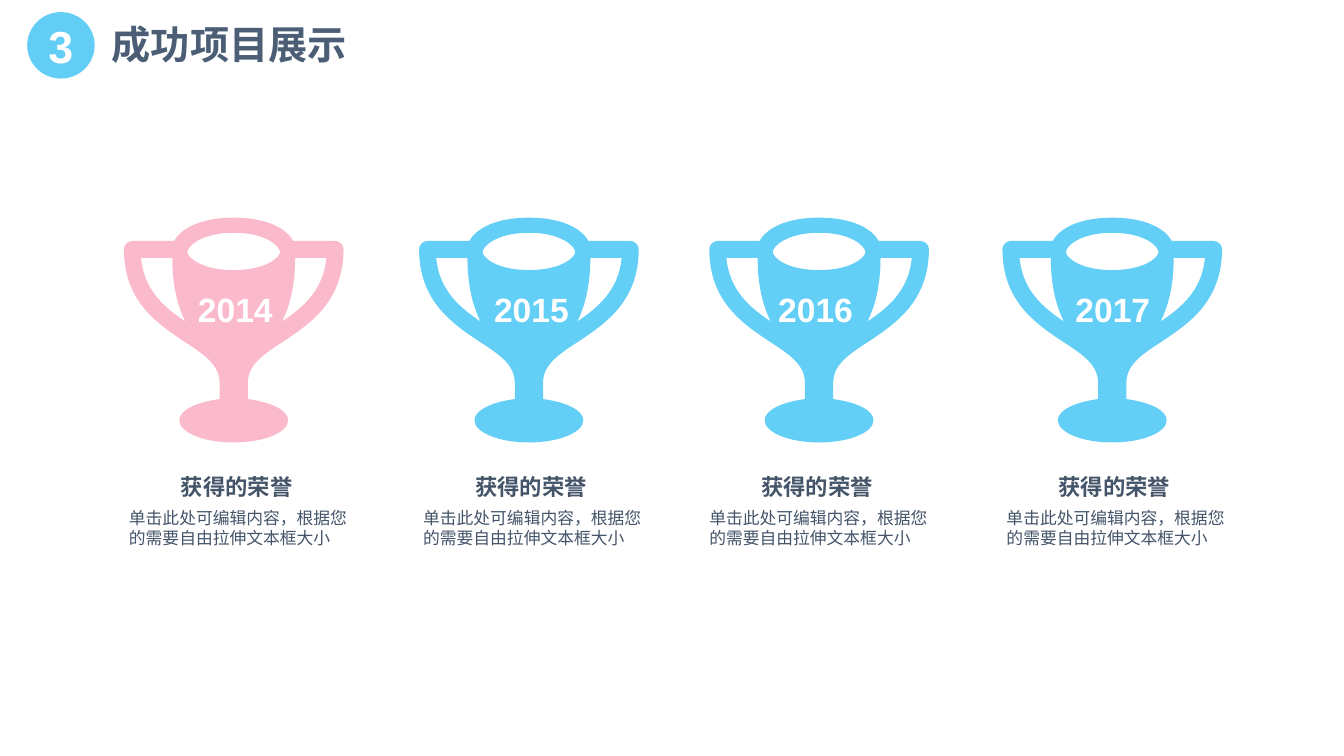
from dataclasses import dataclass
from itertools import chain, islice

from lxml import etree
from pptx import Presentation
from pptx.dml.color import RGBColor
from pptx.enum.shapes import MSO_SHAPE
from pptx.enum.text import MSO_ANCHOR, MSO_AUTO_SIZE, PP_ALIGN
from pptx.oxml.ns import qn
from pptx.util import Inches, Pt

ELLIPSE = MSO_SHAPE.OVAL
TOP, MIDDLE = MSO_ANCHOR.TOP, MSO_ANCHOR.MIDDLE
GROW, FIXED = MSO_AUTO_SIZE.SHAPE_TO_FIT_TEXT, MSO_AUTO_SIZE.NONE
LEFT, CENTER = PP_ALIGN.LEFT, PP_ALIGN.CENTER
TITLE_ONLY_LAYOUT = 5


@dataclass(frozen=True)
class Theme:
    font: str = "Arial"
    white: str = "FFFFFF"
    blue: str = "63CFF6"
    pink: str = "FBB9CC"
    badge: str = "00B0F0"
    badge_opacity: int = 61
    title: str = "4B5E75"
    text: str = "445469"
    badge_size: int = 32
    title_size: int = 28
    year_size: int = 24
    heading_size: int = 16
    body_size: int = 12


THEME = Theme()
HEADING = "获得的荣誉"
BODY = "单击此处可编辑内容，根据您的需要自由拉伸文本框大小"

# Year, colour, then the left edges of trophy, year and caption
HONOURS = [
    ("2014", THEME.pink, 1.23, 1.84, 1.28),
    ("2015", THEME.blue, 4.16, 4.78, 4.20),
    ("2016", THEME.blue, 7.04, 7.60, 7.04),
    ("2017", THEME.blue, 9.95, 10.55, 9.99),
]

# Trophy outlines in inches from the top of its vertical axis. Each step
# holds one point (a line) or three points (a Bézier curve).
TROPHY_TOP = 2.16
TROPHY_HALF_WIDTH = 1.09
HALF_CUP = [
    [(0, 0)],
    [(0.35, 0), (0.53, 0.12), (0.59, 0.23)],
    [(1.0, 0.23)],
    [(1.05, 0.23), (1.09, 0.27), (1.09, 0.31)],
    [(1.09, 0.83), (0.76, 1.05), (0.49, 1.23)],
    [(0.27, 1.37), (0.14, 1.47), (0.14, 1.64)],
    [(0.14, 1.8)],
    [(0.37, 1.83), (0.54, 1.91), (0.54, 2.01)],
    [(0.54, 2.13), (0.3, 2.23), (0, 2.23)],
]
HALF_OPENING = [
    [(0, 0.15)],
    [(0.33, 0.15), (0.46, 0.29), (0.46, 0.34)],
    [(0.46, 0.39), (0.33, 0.52), (0, 0.52)],
]
HANDLE_HOLE = [
    [(0.48, 1.03)],
    [(0.55, 0.89), (0.61, 0.69), (0.61, 0.4)],
    [(0.92, 0.4)],
    [(0.89, 0.72), (0.69, 0.89), (0.48, 1.03)],
]


def mirror(steps):
    """Reflect an outline in the axis and run it backwards."""
    points = iter([(-x, y) for x, y in reversed(list(chain(*steps)))])
    sizes = [1] + [len(step) for step in reversed(steps[1:])]
    return [list(islice(points, size)) for size in sizes]


def complete(half):
    return half + mirror(half)[1:]


TROPHY = [complete(HALF_CUP), complete(HALF_OPENING), HANDLE_HOLE, mirror(HANDLE_HOLE)]


def paint(shape, color):
    shape.shadow.inherit = False
    shape.fill.solid()
    shape.fill.fore_color.rgb = RGBColor.from_string(color)
    shape.line.fill.background()


def write(shape, text, size, color, bold=False, align=LEFT, before=0,
          margins=(0, 0), anchor=TOP, auto_size=GROW):
    frame = shape.text_frame
    frame.text = text
    frame.word_wrap = True
    frame.auto_size = auto_size
    frame.vertical_anchor = anchor
    frame.margin_left = frame.margin_right = Inches(margins[0])
    frame.margin_top = frame.margin_bottom = Inches(margins[1])
    paragraph = frame.paragraphs[0]
    paragraph.alignment = align
    paragraph.space_before = Pt(before)
    font = paragraph.runs[0].font
    font.name = THEME.font
    font.size = Pt(size)
    font.bold = bold
    font.color.rgb = RGBColor.from_string(color)


def add_text(slide, box, text, size, color, **style):
    shape = slide.shapes.add_textbox(*map(Inches, box))
    write(shape, text, size, color, **style)


def bend_curves(shape, contours):
    """Join each run of three control points into one Bézier curve."""
    outline = next(shape._element.iter(qn("a:path")))
    lines = iter(outline.findall(qn("a:lnTo")))
    for step in chain(*(contour[1:] for contour in contours)):
        curve, *others = [next(lines) for _ in step]
        if others:
            curve.tag = qn("a:cubicBezTo")
        for line in others:
            curve.append(line[0])
            outline.remove(line)


def add_trophy(slide, left, color):
    center = left + TROPHY_HALF_WIDTH
    builder = None
    for contour in TROPHY:
        start, *rest = [(Inches(center + x), Inches(TROPHY_TOP + y))
                        for x, y in chain(*contour)]
        if builder is None:
            builder = slide.shapes.build_freeform(*start)
        else:
            builder.move_to(*start)
        builder.add_line_segments(rest, close=True)
    trophy = builder.convert_to_shape()
    bend_curves(trophy, TROPHY)
    paint(trophy, color)


def add_header(slide):
    # Section number in a translucent disc
    badge = slide.shapes.add_shape(ELLIPSE, *map(Inches, (0.27, 0.12, 0.67, 0.66)))
    paint(badge, THEME.badge)
    color = badge._element.spPr.find(qn("a:solidFill"))[0]
    etree.SubElement(color, qn("a:alpha"), val=str(THEME.badge_opacity * 1000))
    write(badge, "3", THEME.badge_size, THEME.white, bold=True, align=CENTER,
          anchor=MIDDLE, auto_size=FIXED)

    # Title
    title = slide.shapes.title
    title.left, title.top, title.width, title.height = map(Inches, (1.01, 0.15, 3.64, 0.57))
    write(title, "成功项目展示", THEME.title_size, THEME.title, bold=True,
          margins=(0.1, 0.05))


def add_honour(slide, year, color, trophy_left, year_left, caption_left):
    add_trophy(slide, trophy_left, color)
    add_text(slide, (year_left, 2.87, 0.99, 0.4), year, THEME.year_size, THEME.white,
             bold=True, align=CENTER)
    add_text(slide, (caption_left, 4.69, 2.14, 0.27), HEADING, THEME.heading_size,
             THEME.text, bold=True, align=CENTER, before=4)
    add_text(slide, (caption_left, 5.04, 2.21, 0.4), BODY, THEME.body_size,
             THEME.text, before=3)


def main():
    presentation = Presentation()
    presentation.slide_width, presentation.slide_height = Inches(13.34), Inches(7.5)
    slide = presentation.slides.add_slide(presentation.slide_layouts[TITLE_ONLY_LAYOUT])
    for honour in HONOURS:
        add_honour(slide, *honour)
    add_header(slide)
    presentation.save("out.pptx")


if __name__ == "__main__":
    main()
